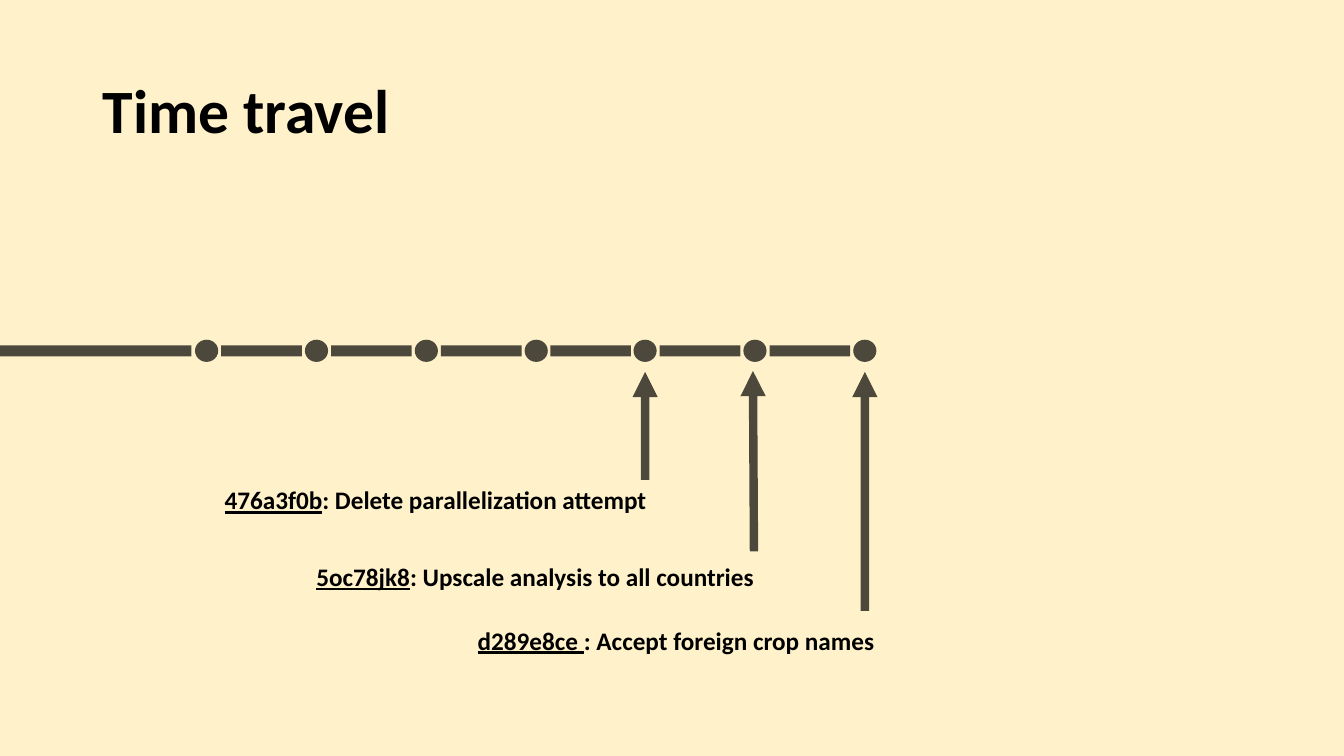
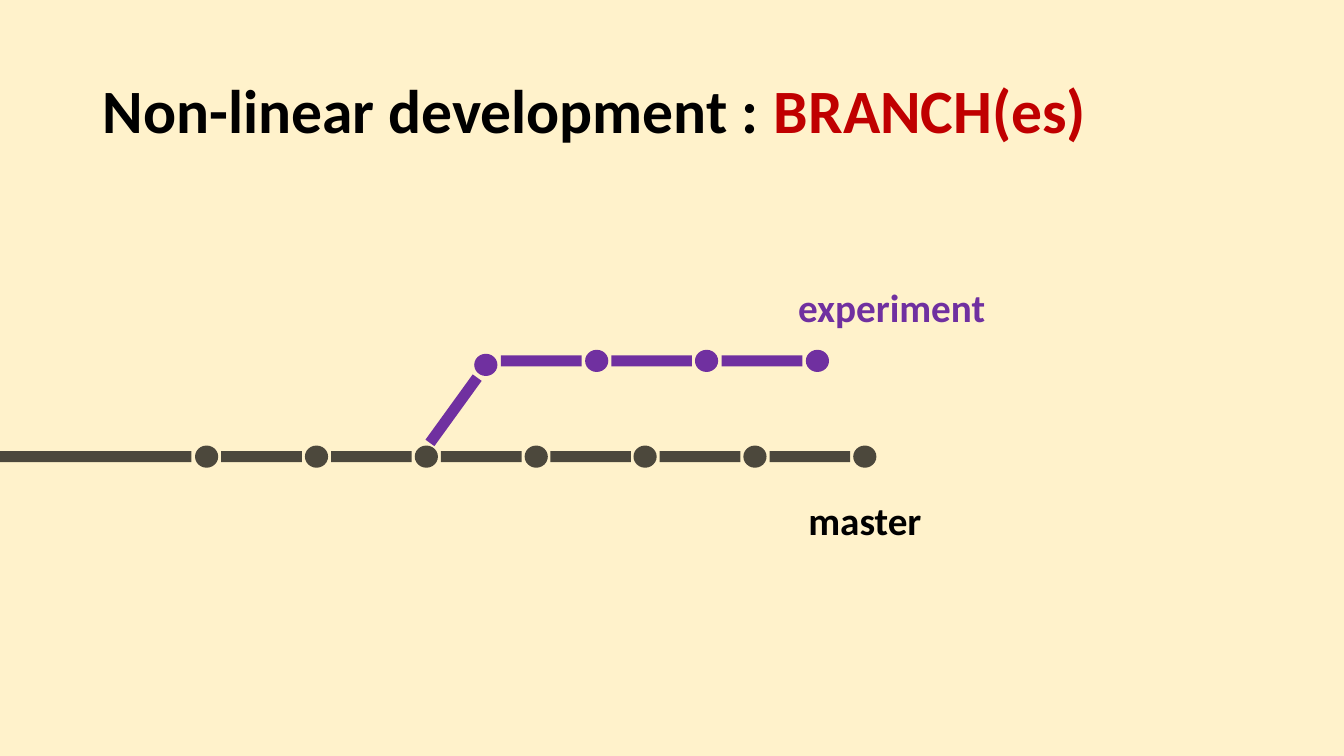
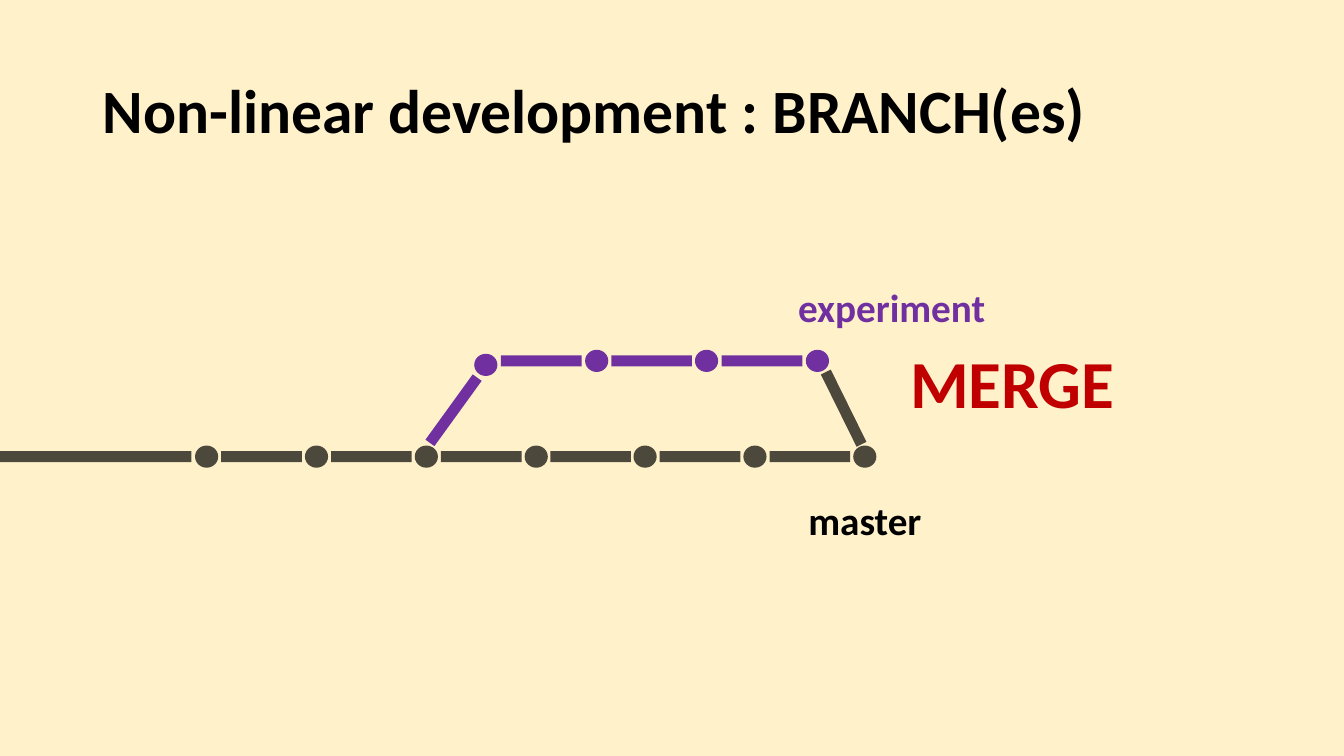
from itertools import pairwise

from pptx import Presentation
from pptx.dml.color import RGBColor as RGB
from pptx.enum.shapes import MSO_CONNECTOR as CONN, MSO_SHAPE as SHAPE
from pptx.enum.text import MSO_ANCHOR as ANCHOR, PP_ALIGN as ALIGN
from pptx.oxml.ns import qn
from pptx.util import Pt

PX = 9144
FONT = "Calibri"
COLORS = {
    "paper": "FFE699",
    "text": "000000",
    "main": "000000",
    "branch": "7030A0",
    "accent": "C00000",
}
OPACITY = {"paper": 50, "main": 70}


def px(*values):
    return [round(v * PX) for v in values]


def spread(first, last, count):
    return [round(first + i * (last - first) / (count - 1)) for i in range(count)]


class Deck:
    def __init__(self):
        self.prs = Presentation()
        self.prs.slide_width, self.prs.slide_height = px(1333.33, 750)
        self.s = None

    def paint(self, color_format, name, owner):
        color_format.rgb = RGB.from_string(COLORS[name])
        if name in OPACITY:
            clr = next(owner.element.iter(qn("a:srgbClr")))
            alpha = clr.makeelement(qn("a:alpha"), {"val": str(OPACITY[name] * 1000)})
            clr.append(alpha)

    def slide(self, *title):
        self.s = self.prs.slides.add_slide(self.prs.slide_layouts[6])
        fill = self.s.background.fill
        fill.solid()
        self.paint(fill.fore_color, "paper", self.s)
        tf = self.text((92, 40, 1150, 145), 44, *title)
        tf.vertical_anchor = ANCHOR.MIDDLE
        tf.paragraphs[0].line_spacing = 0.9

    def text(self, box, size, *runs, align=ALIGN.LEFT):
        tf = self.s.shapes.add_textbox(*px(*box)).text_frame
        tf.word_wrap = True
        p = tf.paragraphs[0]
        p.alignment = align
        for words, color, underline in runs:
            r = p.add_run()
            r.text = words
            r.font.name = FONT
            r.font.size = Pt(size)
            r.font.bold = True
            r.font.underline = underline
            r.font.color.rgb = RGB.from_string(COLORS[color])
        return tf

    def label(self, box, words, color):
        self.text(box, 28, (words, color, False), align=ALIGN.CENTER)

    def solid(self, kind, cx, cy, w, h, color, rot=0):
        sp = self.s.shapes.add_shape(kind, *px(cx - w / 2, cy - h / 2, w, h))
        sp.shadow.inherit = False
        sp.rotation = rot
        sp.line.fill.background()
        sp.fill.solid()
        self.paint(sp.fill.fore_color, color, sp)

    def bar(self, cx, cy, color, length=80, rot=0):
        self.solid(SHAPE.RECTANGLE, cx, cy, length, 11, color, rot)

    def track(self, xs, y, color, drop=0):
        for a, b in pairwise(xs):
            self.bar((a + b) / 2, y, color)
        for i, x in enumerate(xs):
            self.solid(SHAPE.OVAL, x, y if i else y + drop, 23, 22, color)

    def master(self, y):
        self.bar(95, y, "main", length=190)
        self.track(spread(205, 858, 7), y, "main")

    def branches(self):
        self.master(453)
        self.bar(450, 407, "branch", rot=305.9)
        self.track(spread(482, 811, 4), 358, "branch", drop=4)
        self.label((774, 487, 168, 57), "master", "text")
        self.label((774, 276, 221, 57), "experiment", "branch")

    def arrow(self, x1, y1, x2, y2):
        c = self.s.shapes.add_connector(CONN.STRAIGHT, *px(x1, y1, x2, y2))
        c.line.width = Pt(6)
        self.paint(c.line.color, "main", c)
        ln = c.element.spPr.find(qn("a:ln"))
        ln.append(ln.makeelement(qn("a:tailEnd"), {"type": "triangle"}))
        c.element.spPr.append(ln.makeelement(qn("a:effectLst"), {}))

    def commit(self, x, y, sha, message):
        self.text((x, y, 482, 40), 18, (sha, "text", True), (message, "text", False))


def main():
    deck = Deck()

    deck.slide(("Time travel", "text", False))
    deck.master(348)
    deck.arrow(640, 476, 640, 369)
    deck.arrow(748, 547, 747, 368)
    deck.arrow(858, 606, 858, 369)
    deck.commit(213, 476, "476a3f0b", ": Delete parallelization attempt")
    deck.commit(304, 552, "5oc78jk8", ": Upscale analysis to all countries")
    deck.commit(464, 615, "d289e8ce ", ": Accept foreign crop names")

    heading = "Non-linear development : "
    deck.slide((heading, "text", False), ("BRANCH(es)", "accent", False))
    deck.branches()

    deck.slide((heading + "BRANCH(es)", "text", False))
    deck.branches()
    deck.bar(837, 405, "main", rot=63.7)
    deck.text((893, 334, 270, 91), 48, ("MERGE", "accent", False))

    deck.prs.save("out.pptx")


if __name__ == "__main__":
    main()
